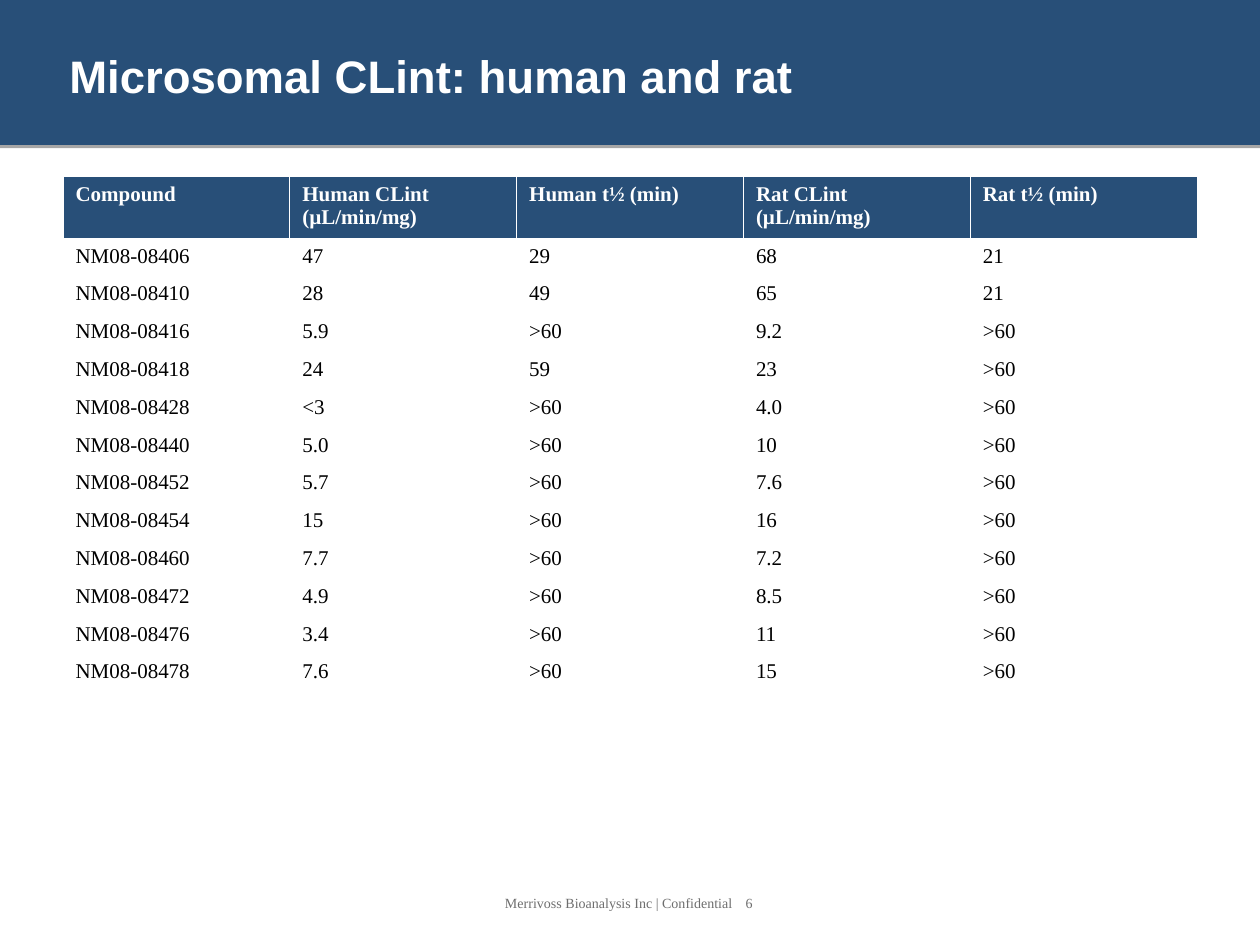
from lxml import etree
from pptx import Presentation
from pptx.dml.color import RGBColor
from pptx.enum.shapes import MSO_SHAPE
from pptx.enum.text import MSO_ANCHOR, MSO_AUTO_SIZE, PP_ALIGN
from pptx.oxml import parse_xml
from pptx.oxml.ns import nsdecls, qn
from pptx.util import Inches, Pt

RECTANGLE = MSO_SHAPE.RECTANGLE
MIDDLE = MSO_ANCHOR.MIDDLE
LEFT = PP_ALIGN.LEFT
NO_AUTOFIT = MSO_AUTO_SIZE.NONE

NAVY, WHITE, BLACK, GRAY = "284F78", "FFFFFF", "000000", "6E6E6E"
SANS, SERIF = "Arial", "Times New Roman"
TITLE_ONLY = 5

HEADERS = ["Compound", "Human CLint (µL/min/mg)", "Human t½ (min)",
           "Rat CLint (µL/min/mg)", "Rat t½ (min)"]
RESULTS = [
    ["NM08-08406", "47", "29", "68", "21"],
    ["NM08-08410", "28", "49", "65", "21"],
    ["NM08-08416", "5.9", ">60", "9.2", ">60"],
    ["NM08-08418", "24", "59", "23", ">60"],
    ["NM08-08428", "<3", ">60", "4.0", ">60"],
    ["NM08-08440", "5.0", ">60", "10", ">60"],
    ["NM08-08452", "5.7", ">60", "7.6", ">60"],
    ["NM08-08454", "15", ">60", "16", ">60"],
    ["NM08-08460", "7.7", ">60", "7.2", ">60"],
    ["NM08-08472", "4.9", ">60", "8.5", ">60"],
    ["NM08-08476", "3.4", ">60", "11", ">60"],
    ["NM08-08478", "7.6", ">60", "15", ">60"],
]


def paint(color_format_owner, color):
    """Give a fill a solid colour from a hex string."""
    color_format_owner.solid()
    color_format_owner.fore_color.rgb = RGBColor.from_string(color)


def write(text_frame, text, *, size, color, font=SERIF, bold=False, tab=None):
    """Write one left-aligned paragraph, with an optional tab stop in inches."""
    paragraph = text_frame.paragraphs[0]
    paragraph.text = text
    paragraph.alignment = LEFT
    if tab is not None:
        tab_list = etree.SubElement(paragraph._p.get_or_add_pPr(), qn("a:tabLst"))
        etree.SubElement(tab_list, qn("a:tab"), pos=str(Inches(tab)), algn="l")
    for run in paragraph.runs:
        run.font.name = font
        run.font.size = Pt(size)
        run.font.bold = bold
        run.font.color.rgb = RGBColor.from_string(color)


def add_shadow(shape):
    """Drop a hard shadow straight below the shape."""
    shape._element.spPr.append(parse_xml(
        f'<a:effectLst {nsdecls("a")}>'
        f'<a:outerShdw blurRad="0" dist="{Pt(1.8)}" dir="5400000" rotWithShape="0">'
        f'<a:srgbClr val="{BLACK}"><a:alpha val="35000"/></a:srgbClr>'
        '</a:outerShdw></a:effectLst>'))


def add_title_band(slide, left, top, width, height):
    band = slide.shapes.add_shape(
        RECTANGLE, Inches(left), Inches(top), Inches(width), Inches(height))
    paint(band.fill, NAVY)
    band.line.fill.background()
    add_shadow(band)
    title = slide.shapes.title
    band._element.addnext(title._element)

    margin_x, margin_top, margin_bottom = 0.45, 0.15, 0.1
    title.left, title.top = Inches(left + margin_x), Inches(top + margin_top)
    title.width = Inches(width - 2 * margin_x)
    title.height = Inches(height - margin_top - margin_bottom)
    title.text_frame.vertical_anchor = MIDDLE
    title.text_frame.auto_size = NO_AUTOFIT
    write(title.text_frame, "Microsomal CLint: human and rat",
          size=26, color=WHITE, font=SANS, bold=True)


def add_cell_borders(cell):
    properties = cell._tc.get_or_add_tcPr()
    for side in ("lnL", "lnR", "lnT", "lnB"):
        properties.append(parse_xml(
            f'<a:{side} {nsdecls("a")} w="{Pt(0.45)}"><a:solidFill>'
            f'<a:srgbClr val="{WHITE}"/></a:solidFill></a:{side}>'))


def add_results_table(slide, left, top, width, header_height, row_height):
    rows = [HEADERS] + RESULTS
    height = header_height + row_height * len(RESULTS)
    table = slide.shapes.add_table(
        len(rows), len(HEADERS),
        Inches(left), Inches(top), Inches(width), Inches(height)).table
    table.horz_banding = False
    for column in table.columns:
        column.width = Inches(width / len(HEADERS))
    for row_index, values in enumerate(rows):
        is_header = row_index == 0
        table.rows[row_index].height = Inches(header_height if is_header else row_height)
        for column_index, value in enumerate(values):
            cell = table.cell(row_index, column_index)
            add_cell_borders(cell)
            paint(cell.fill, NAVY if is_header else WHITE)
            write(cell.text_frame, value, size=12, bold=is_header,
                  color=WHITE if is_header else BLACK)


def add_footer(slide, left, top, width, height):
    footer = slide.shapes.add_textbox(
        Inches(left), Inches(top), Inches(width), Inches(height))
    footer.text_frame.word_wrap = True
    footer.text_frame.margin_right = 0
    write(footer.text_frame, "Merrivoss Bioanalysis Inc | Confidential\t6",
          size=8, color=GRAY, tab=1.91)


def main():
    presentation = Presentation()
    presentation.slide_width, presentation.slide_height = Inches(10), Inches(7.5)
    slide = presentation.slides.add_slide(presentation.slide_layouts[TITLE_ONLY])
    paint(slide.background.fill, WHITE)
    add_title_band(slide, 0, 0, 10, 1.15)
    add_results_table(slide, 0.5, 1.4, 9, header_height=0.49, row_height=0.3)
    add_footer(slide, 3.91, 7.05, 2.17, 0.23)
    presentation.save("out.pptx")


if __name__ == "__main__":
    main()
